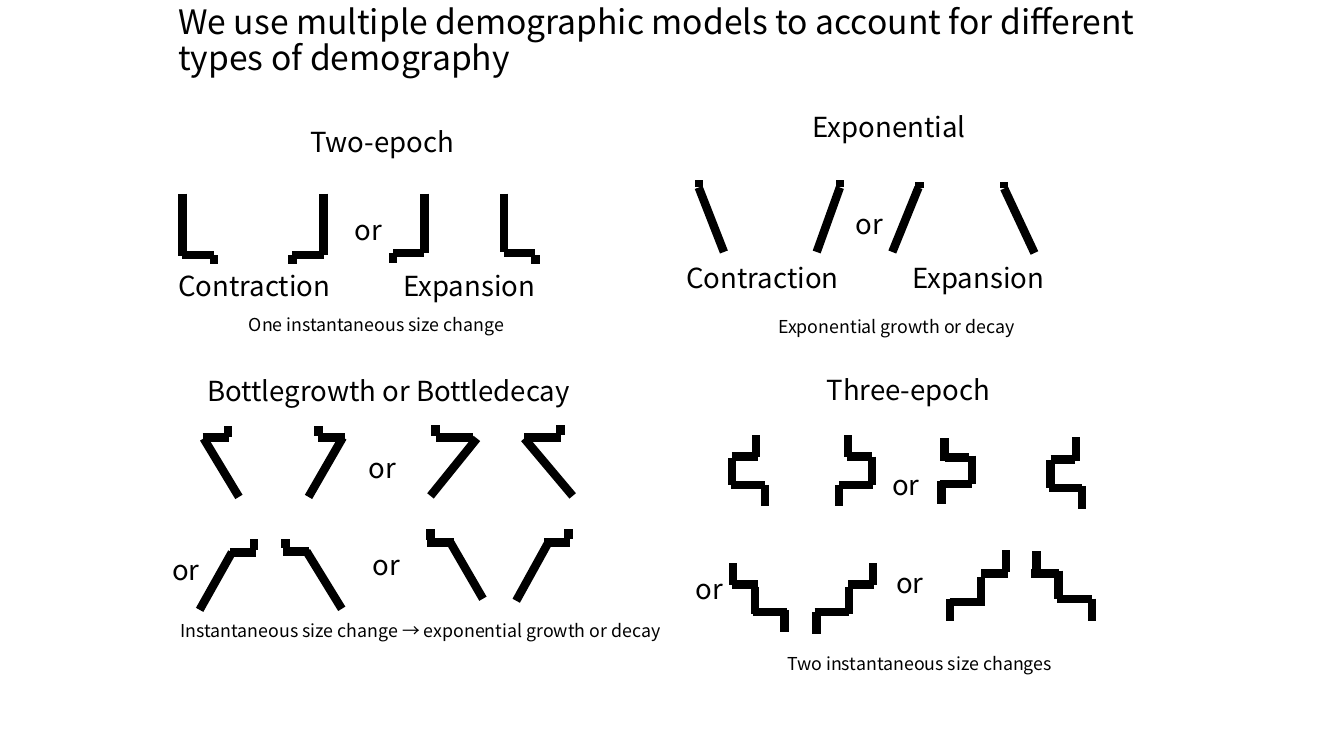
from dataclasses import dataclass

from lxml.etree import SubElement
from pptx import Presentation
from pptx.dml.color import RGBColor
from pptx.enum.shapes import MSO_CONNECTOR
from pptx.enum.text import MSO_ANCHOR, MSO_AUTO_SIZE
from pptx.oxml.ns import qn
from pptx.slide import Slide
from pptx.util import Inches, Pt

FONT = "Noto Sans CJK JP"
BLACK = "000000"
LABEL_SIZE, LABEL_HEIGHT = 19.7, 0.43
CAPTION_SIZE, CAPTION_HEIGHT = 12.7, 0.31
STROKE_WIDTH = 6

Stroke = tuple[float, float, float, float]  # x1, y1, x2, y2


@dataclass(frozen=True)
class Label:
    text: str
    left: float
    top: float
    width: float
    height: float = LABEL_HEIGHT
    size: float = LABEL_SIZE


@dataclass(frozen=True)
class History:
    """Population width over time, drawn as a left and a right outline."""
    left: list[Stroke]
    right: list[Stroke]


TITLE = Label("We use multiple demographic models to account for different types of demography",
              1.67, -0.04, 10, 0.9, 24)

MODEL_NAMES = [
    Label("Two-epoch", 2.98, 1.19, 2.54),
    Label("Exponential", 7.96, 1.04, 2.54),
    Label("Bottlegrowth or Bottledecay", 1.96, 3.66, 4.31),
    Label("Three-epoch", 8.1, 3.65, 2.54),
]

DIRECTIONS = [
    Label(direction, left, top, 1.86)
    for direction, left, top in [
        ("Contraction", 1.67, 2.62), ("Expansion", 3.9, 2.62),
        ("Contraction", 6.71, 2.54), ("Expansion", 8.95, 2.54),
    ]
]

ALTERNATIVES = [
    Label("or", left, top, 0.69)
    for left, top in [
        (3.42, 2.06), (8.39, 2), (3.56, 4.42), (3.6, 5.39),
        (1.61, 5.44), (8.75, 4.59), (8.79, 5.57), (6.8, 5.62),
    ]
]

CAPTIONS = [
    Label(text, left, top, width, CAPTION_HEIGHT, CAPTION_SIZE)
    for text, left, top, width in [
        ("One instantaneous size change", 2.37, 3.06, 2.97),
        ("Exponential growth or decay", 7.62, 3.08, 2.97),
        ("Instantaneous size change → exponential growth or decay", 1.69, 6.1, 5.1),
        ("Two instantaneous size changes", 7.71, 6.43, 2.97),
    ]
]

TWO_EPOCH = [
    History([(1.81, 1.92, 1.81, 2.54), (1.81, 2.53, 2.12, 2.53), (2.12, 2.53, 2.12, 2.62)],
            [(3.21, 1.92, 3.21, 2.53), (2.9, 2.53, 3.21, 2.53), (2.9, 2.53, 2.9, 2.62)]),
    History([(4.21, 1.92, 4.21, 2.51), (3.9, 2.51, 4.21, 2.51), (3.9, 2.51, 3.9, 2.61)],
            [(5, 1.92, 5, 2.5), (5, 2.51, 5.31, 2.51), (5.31, 2.53, 5.31, 2.62)]),
]

EXPONENTIAL = [
    History([(6.93, 1.79, 6.93, 1.86), (6.93, 1.86, 7.18, 2.5)],
            [(8.33, 1.79, 8.33, 1.86), (8.33, 1.86, 8.1, 2.5)]),
    History([(9.12, 1.81, 9.12, 1.87), (9.11, 1.86, 8.85, 2.5)],
            [(9.96, 1.81, 9.96, 1.87), (9.96, 1.87, 10.26, 2.51)]),
]

BOTTLEGROWTH = [
    History([(2.26, 4.23, 2.26, 4.34), (2.01, 4.34, 2.27, 4.34), (2.02, 4.35, 2.37, 4.93)],
            [(3.16, 4.23, 3.16, 4.33), (3.15, 4.34, 3.42, 4.34), (3.4, 4.34, 3.06, 4.93)]),
    History([(4.32, 4.22, 4.32, 4.33), (4.32, 4.34, 4.69, 4.34), (4.73, 4.35, 4.27, 4.92)],
            [(5.56, 4.22, 5.56, 4.32), (5.2, 4.34, 5.56, 4.34), (5.2, 4.35, 5.68, 4.92)]),
    History([(4.27, 5.25, 4.27, 5.36), (4.24, 5.38, 4.5, 5.38), (4.46, 5.37, 4.79, 5.94)],
            [(5.64, 5.25, 5.64, 5.35), (5.4, 5.38, 5.65, 5.38), (5.44, 5.38, 5.12, 5.96)]),
    History([(2.52, 5.35, 2.52, 5.46), (2.28, 5.48, 2.54, 5.48), (2.3, 5.48, 1.98, 6.05)],
            [(2.83, 5.35, 2.83, 5.44), (2.81, 5.47, 3.06, 5.47), (3.04, 5.47, 3.39, 6.04)]),
]

THREE_EPOCH = [
    History([(7.5, 4.32, 7.5, 4.53), (7.26, 4.53, 7.52, 4.53), (7.26, 4.54, 7.26, 4.81),
             (7.25, 4.81, 7.59, 4.81), (7.59, 4.81, 7.59, 5.02)],
            [(8.41, 4.32, 8.41, 4.53), (8.4, 4.53, 8.65, 4.53), (8.65, 4.53, 8.65, 4.81),
             (8.32, 4.81, 8.66, 4.81), (8.32, 4.81, 8.32, 5.02)]),
    History([(9.37, 4.35, 9.37, 4.57), (9.37, 4.54, 9.61, 4.54), (9.64, 4.52, 9.64, 4.8),
             (9.32, 4.8, 9.64, 4.8), (9.34, 4.77, 9.34, 5)],
            [(10.67, 4.34, 10.67, 4.57), (10.42, 4.56, 10.66, 4.56), (10.42, 4.56, 10.42, 4.84),
             (10.4, 4.84, 10.73, 4.84), (10.73, 4.82, 10.73, 5.05)]),
    History([(7.27, 5.59, 7.27, 5.8), (7.26, 5.8, 7.52, 5.8), (7.49, 5.82, 7.49, 6.09),
             (7.47, 6.07, 7.81, 6.07), (7.78, 6.05, 7.78, 6.27)],
            [(8.66, 5.59, 8.66, 5.8), (8.41, 5.8, 8.67, 5.8), (8.42, 5.82, 8.42, 6.09),
             (8.08, 6.07, 8.42, 6.07), (8.1, 6.07, 8.1, 6.29)]),
    History([(9.98, 5.46, 9.98, 5.67), (9.73, 5.69, 10, 5.69), (9.73, 5.72, 9.73, 5.99),
             (9.42, 5.97, 9.77, 5.97), (9.42, 5.94, 9.42, 6.16)],
            [(10.28, 5.47, 10.28, 5.69), (10.23, 5.69, 10.5, 5.69), (10.5, 5.66, 10.5, 5.94),
             (10.48, 5.94, 10.83, 5.94), (10.83, 5.94, 10.83, 6.16)]),
]


def color(hex_code: str) -> RGBColor:
    return RGBColor.from_string(hex_code)


def draw_label(slide: Slide, label: Label, is_title: bool = False) -> None:
    box = slide.shapes.add_textbox(Inches(label.left), Inches(label.top),
                                   Inches(label.width), Inches(label.height))
    frame = box.text_frame
    frame.text = label.text
    frame.word_wrap = True
    paragraph = frame.paragraphs[0]
    if is_title:
        frame.vertical_anchor = MSO_ANCHOR.MIDDLE
        paragraph.line_spacing = 0.9
    else:
        frame.auto_size = MSO_AUTO_SIZE.SHAPE_TO_FIT_TEXT
    font = paragraph.runs[0].font
    font.name = FONT
    font.size = Pt(label.size)
    font.color.rgb = color(BLACK)


def draw_history(slide: Slide, history: History) -> None:
    outlines = slide.shapes.add_group_shape()
    for stroke in history.left + history.right:
        segment = outlines.shapes.add_connector(MSO_CONNECTOR.STRAIGHT, *map(Inches, stroke))
        segment.line.color.rgb = color(BLACK)
        segment.line.width = Pt(STROKE_WIDTH)
        SubElement(segment._element.spPr, qn("a:effectLst"))


def main() -> None:
    presentation = Presentation()
    presentation.slide_width = Inches(13.33)
    presentation.slide_height = Inches(7.5)
    slide = presentation.slides.add_slide(presentation.slide_layouts[6])

    # Title
    draw_label(slide, TITLE, is_title=True)

    # Population size histories of the four models
    for history in TWO_EPOCH + EXPONENTIAL + BOTTLEGROWTH + THREE_EPOCH:
        draw_history(slide, history)

    # Model names, directions, alternatives and captions
    for label in MODEL_NAMES + DIRECTIONS + ALTERNATIVES + CAPTIONS:
        draw_label(slide, label)

    presentation.save("out.pptx")


if __name__ == "__main__":
    main()
